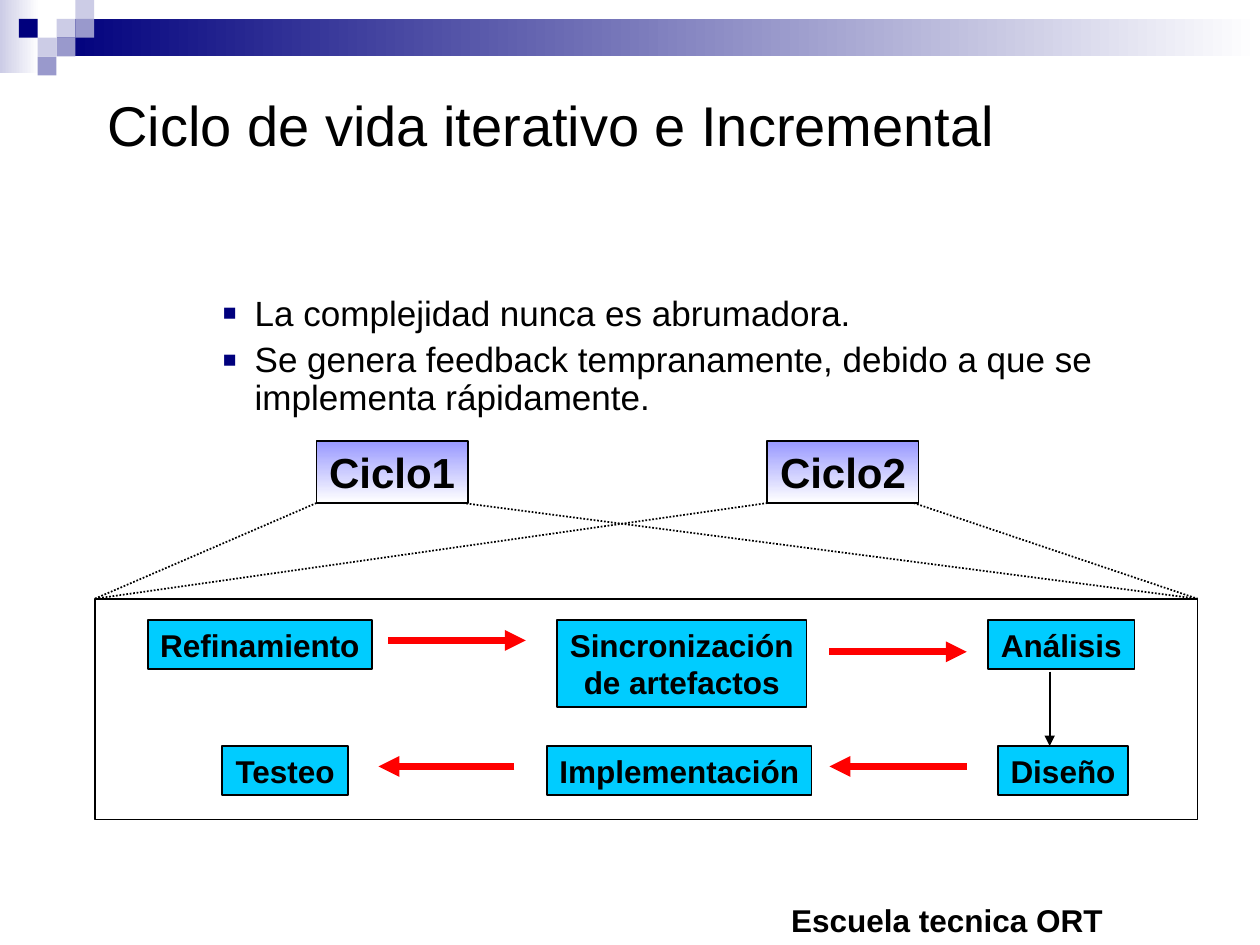
from lxml import etree
from pptx import Presentation
from pptx import util as u
from pptx.dml.color import RGBColor
from pptx.enum import dml, shapes, text
from pptx.oxml import ns

FONT = "Arial"
BLACK = RGBColor(0x00, 0x00, 0x00)
WHITE = RGBColor(0xFF, 0xFF, 0xFF)
NAVY = RGBColor(0x00, 0x00, 0x7D)
LAVENDER = RGBColor(0xCC, 0xCC, 0xE6)
PERIWINKLE = RGBColor(0x99, 0x99, 0xCC)
VIOLET = RGBColor(0x99, 0x99, 0xFF)
CYAN = RGBColor(0x00, 0xCC, 0xFF)
RED = RGBColor(0xFF, 0x00, 0x00)


def place(shape, left, top, width, height):
    """Move and size a shape, in centimetres."""
    shape.left, shape.top = u.Cm(left), u.Cm(top)
    shape.width, shape.height = u.Cm(width), u.Cm(height)


def add_xml(parent, tag, **attributes):
    """Append a drawing element to a parent element."""
    return etree.SubElement(parent, ns.qn(tag), attributes)


def write(paragraph, words, size, bold=False):
    """Add one formatted run to a paragraph."""
    run = paragraph.add_run()
    run.text = words
    run.font.name, run.font.size, run.font.bold = FONT, u.Pt(size), bold
    run.font.color.rgb = BLACK


def add_box(slide, left, top, width, height, fill=None, angle=None, outlined=False):
    """Add a rectangle; a pair of colours makes a gradient."""
    shape = slide.shapes.add_shape(
        shapes.MSO_SHAPE.RECTANGLE, u.Cm(left), u.Cm(top), u.Cm(width), u.Cm(height))
    shape.shadow.inherit = False
    if fill is None:
        shape.fill.background()
    elif angle is None:
        shape.fill.solid()
        shape.fill.fore_color.rgb = fill
    else:
        shape.fill.gradient()
        shape.fill.gradient_angle = angle
        for stop, color in zip(shape.fill.gradient_stops, fill):
            stop.color.rgb = color
    if outlined:
        shape.line.color.rgb, shape.line.width = BLACK, u.Pt(1)
    else:
        shape.line.fill.background()
    return shape


def add_label(shape, lines, size):
    """Centre bold lines of text in a shape."""
    frame = shape.text_frame
    frame.word_wrap = False
    frame.vertical_anchor = text.MSO_ANCHOR.MIDDLE
    for index, line in enumerate(lines):
        paragraph = frame.add_paragraph() if index else frame.paragraphs[0]
        paragraph.alignment = text.PP_ALIGN.CENTER
        write(paragraph, line, size, bold=True)


def add_line(slide, start, end, color=BLACK, width=1, dotted=False, arrow=False):
    """Join two points given in centimetres."""
    line = slide.shapes.add_connector(
        shapes.MSO_CONNECTOR.STRAIGHT, *(u.Cm(value) for value in (*start, *end)))
    line.line.color.rgb, line.line.width = color, u.Pt(width)
    if dotted:
        line.line.dash_style = dml.MSO_LINE.ROUND_DOT
    if arrow:
        add_xml(line.line._get_or_add_ln(), "a:tailEnd", type="triangle")
    add_xml(line._element.spPr, "a:effectLst")


def add_banner(slide, left, top, width):
    """Draw the gradient bars and the mosaic of squares."""
    unit = 0.38
    add_box(slide, left, top, 0.79, 1.47, (WHITE, LAVENDER), 180)
    add_box(slide, left + 3 * unit, top + unit, width - 3 * unit, 2 * unit, (WHITE, NAVY), 180)
    mosaic = [(3, 1, LAVENDER), (4, 0, LAVENDER), (4, 1, PERIWINKLE), (2, 2, LAVENDER),
              (1, 1, NAVY), (3, 2, PERIWINKLE), (2, 3, PERIWINKLE)]
    for column, row, color in mosaic:
        add_box(slide, left + column * unit, top + row * unit, unit, unit, color)


def add_title(slide, *box):
    """Fill the title placeholder."""
    title = slide.shapes.title
    place(title, *box)
    frame = title.text_frame
    frame.auto_size = text.MSO_AUTO_SIZE.NONE
    frame.vertical_anchor = text.MSO_ANCHOR.MIDDLE
    frame.paragraphs[0].alignment = text.PP_ALIGN.LEFT
    write(frame.paragraphs[0], "Ciclo de vida iterativo e Incremental", 32)


def add_benefits(slide, *box):
    """Fill the body placeholder with the bulleted list."""
    body = slide.placeholders[1]
    place(body, *box)
    frame = body.text_frame
    frame.auto_size = text.MSO_AUTO_SIZE.NONE
    benefits = ["La complejidad nunca es abrumadora.",
                "Se genera feedback tempranamente, debido a que se implementa rápidamente."]
    for index, benefit in enumerate(benefits):
        paragraph = frame.add_paragraph() if index else frame.paragraphs[0]
        paragraph.level = 2
        properties = paragraph._p.get_or_add_pPr()
        properties.set("marL", str(u.Cm(3.18)))
        properties.set("indent", str(u.Cm(-0.64)))
        add_xml(add_xml(properties, "a:buClr"), "a:srgbClr", val=str(NAVY))
        add_xml(properties, "a:buSzPct", val="65000")
        add_xml(properties, "a:buFont", typeface=FONT)
        add_xml(properties, "a:buChar", char="■")
        paragraph.line_spacing = 0.9
        paragraph.space_before = u.Pt(5 if index else 0)
        write(paragraph, benefit, 20)


def add_cycle(slide, name, left, top, width, height, stages_box):
    """Draw a cycle and the dotted lines that open it into its stages."""
    shape = add_box(slide, left, top, width, height, (VIOLET, WHITE), 270, outlined=True)
    add_label(shape, [name], 24)
    stages_left, stages_top, stages_width, _ = stages_box
    bottom = top + height
    add_line(slide, (left, bottom), (stages_left, stages_top), dotted=True)
    add_line(slide, (left + width - 0.1, bottom), (stages_left + stages_width, stages_top),
             dotted=True)


def add_stages(slide, left, top, width, height):
    """Draw the framed flow of stages."""
    upper, lower = 0.43, 2.97
    stages = [(["Refinamiento"], 1.07, upper, 4.52, 0.99),
              (["Sincronización", "de artefactos"], 9.32, upper, 5.03, 1.75),
              (["Análisis"], 18.01, upper, 2.95, 0.99),
              (["Diseño"], 18.21, lower, 2.62, 0.99),
              (["Implementación"], 9.12, lower, 5.33, 0.99),
              (["Testeo"], 2.57, lower, 2.54, 0.99)]
    for lines, x, y, stage_width, stage_height in stages:
        shape = add_box(slide, left + x, top + y, stage_width, stage_height, CYAN, outlined=True)
        add_label(shape, lines, 18)
    arrows = [(5.92, 8.69, 0.84), (14.81, 17.58, 1.07), (17.58, 14.81, 3.38), (8.46, 5.72, 3.38)]
    for start, end, y in arrows:
        add_line(slide, (left + start, top + y), (left + end, top + y), RED, 4, arrow=True)
    add_line(slide, (left + 19.25, top + 1.47), (left + 19.25, top + lower), arrow=True)
    add_box(slide, left, top, width, height, outlined=True)


def add_footer(slide, *box):
    """Write the name of the school at the foot."""
    frame = slide.shapes.add_textbox(*(u.Cm(value) for value in box)).text_frame
    frame.word_wrap = True
    frame.vertical_anchor = text.MSO_ANCHOR.MIDDLE
    write(frame.paragraphs[0], "Escuela tecnica ORT", 18, bold=True)


def main():
    """Build and save the presentation."""
    presentation = Presentation()
    presentation.slide_width, presentation.slide_height = u.Cm(25.4), u.Cm(19.05)
    slide = presentation.slides.add_slide(presentation.slide_layouts[1])
    stages_box = (1.91, 12.07, 22.23, 4.45)
    add_banner(slide, 0, 0, 25.4)
    add_footer(slide, 15.7, 18.03, 8.76, 1.02)
    add_benefits(slide, 1.7, 5.84, 21.59, 2.92)
    add_cycle(slide, "Ciclo1", 6.38, 8.89, 3.05, 1.25, stages_box)
    add_cycle(slide, "Ciclo2", 15.47, 8.89, 3.05, 1.25, stages_box)
    add_stages(slide, *stages_box)
    add_title(slide, 1.91, 1.7, 20.32, 1.6)
    presentation.save("out.pptx")


if __name__ == "__main__":
    main()
